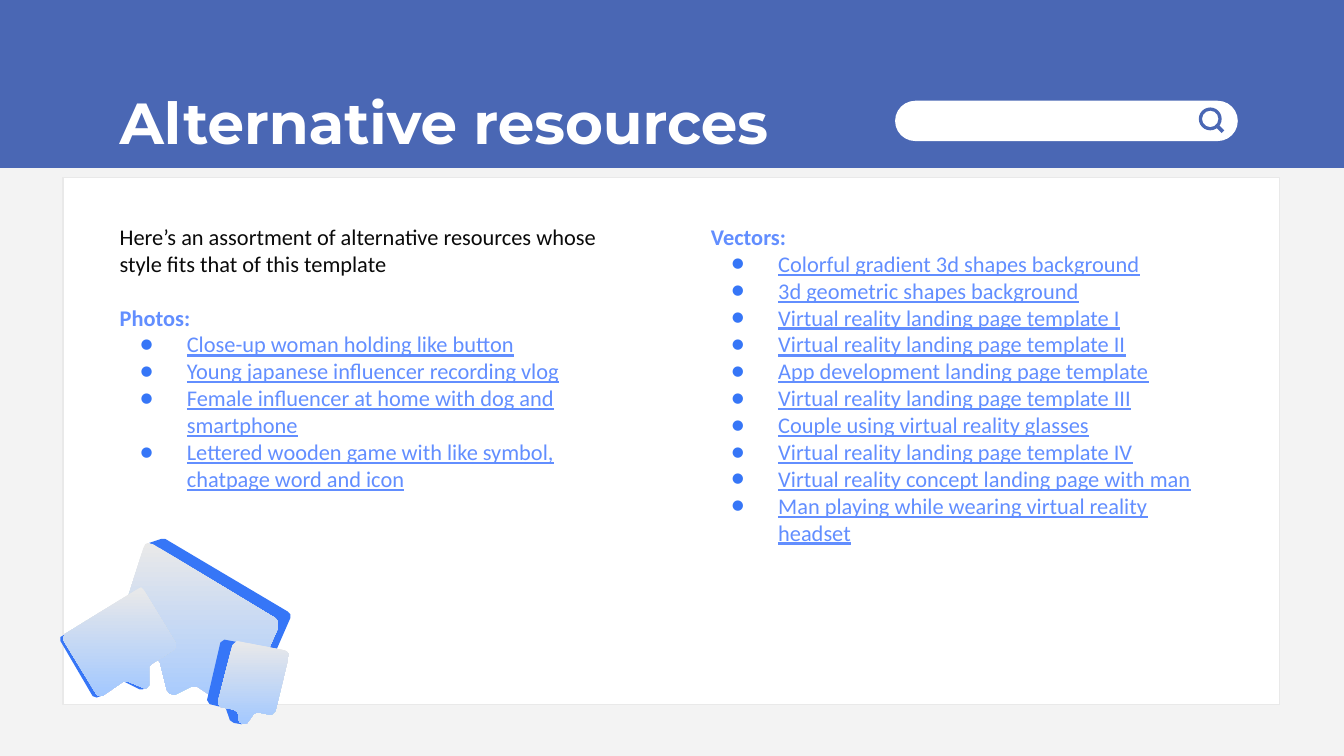
from lxml import etree
from pptx import Presentation
from pptx.dml.color import RGBColor as RGB
from pptx.enum.shapes import MSO_CONNECTOR as CXN, MSO_SHAPE as SHAPE
from pptx.enum.text import MSO_ANCHOR as ANCHOR, MSO_AUTO_SIZE as FIT, PP_ALIGN as ALIGN
from pptx.oxml.ns import qn
from pptx.util import Inches, Pt

C = {k: RGB.from_string(v) for k, v in {
    "page": "F3F3F3", "header": "4A67B4", "white": "FFFFFF", "edge": "E9E9E9",
    "ink": "0A0A0A", "link": "628EFF", "accent": "3676F7", "sky": "A3C8FF"}.items()}

prs = Presentation()
prs.slide_width, prs.slide_height = Inches(10), Inches(5.625)
U = prs.slide_width / 100  # square grid, 100 columns across the slide
s = prs.slides.add_slide(prs.slide_layouts[3])
s.background.fill.solid()
s.background.fill.fore_color.rgb = C["page"]


def grid(*cells):
    return [round(c * U) for c in cells]


def paint(sp, color, line=None):
    sp.shadow.inherit = False
    sp.fill.solid()
    sp.fill.fore_color.rgb = C[color]
    if line:
        sp.line.color.rgb, sp.line.width = C[line], Pt(0.75)
    else:
        sp.line.fill.background()


# Header, content panel, search bar and lens
for kind, box, adj, color, line in [
        (SHAPE.RECTANGLE, (-0.3, -0.4, 100.8, 12.9), None, "header", None),
        (SHAPE.RECTANGLE, (4.7, 13.2, 90.5, 39.2), None, "white", "edge"),
        (SHAPE.ROUNDED_RECTANGLE, (66.6, 7.5, 25.5, 3), 0.5, "white", None),
        (SHAPE.DONUT, (89.2, 8, 1.7, 1.7), 0.14, "header", None)]:
    sp = s.shapes.add_shape(kind, *grid(*box))
    paint(sp, color, line)
    if adj:
        sp.adjustments[0] = adj

# Lens handle
handle = s.shapes.add_connector(CXN.STRAIGHT, *grid(90.6, 9.4, 91, 9.8))
handle.line.color.rgb, handle.line.width = C["header"], Pt(2)
etree.SubElement(handle._element.spPr, qn("a:effectLst"))

# Title and the two lists
title, left, right = s.placeholders
LISTS = [
    (left, ["Here’s an assortment of alternative resources whose style fits that of this template",
            "Photos:",
            "Close-up woman holding like button",
            "Young japanese influencer recording vlog",
            "Female influencer at home with dog and smartphone",
            "Lettered wooden game with like symbol, chatpage word and icon"]),
    (right, ["Vectors:",
             "Colorful gradient 3d shapes background",
             "3d geometric shapes background",
             "Virtual reality landing page template I",
             "Virtual reality landing page template II",
             "App development landing page template",
             "Virtual reality landing page template III",
             "Couple using virtual reality glasses",
             "Virtual reality landing page template IV",
             "Virtual reality concept landing page with man",
             "Man playing while wearing virtual reality headset"])]

for sp, box, anchor in [(title, (7.9, 5.9, 56.9, 6.2), ANCHOR.MIDDLE),
                        (left, (7.9, 15.6, 40.2, 33.6), ANCHOR.TOP),
                        (right, (51.9, 15.6, 40.2, 33.6), ANCHOR.TOP)]:
    sp.left, sp.top, sp.width, sp.height = grid(*box)
    frame = {"word_wrap": True, "auto_size": FIT.NONE, "vertical_anchor": anchor}
    frame.update({f"margin_{side}": round(U) for side in ("left", "top", "right", "bottom")})
    for name, value in frame.items():
        setattr(sp.text_frame, name, value)
    s.shapes._spTree.append(sp._element)  # text above the panels

p = title.text_frame.paragraphs[0]
p.alignment = ALIGN.LEFT
r = p.add_run()
r.text = "Alternative resources"
for name, value in {"name": "Montserrat", "size": Pt(31), "bold": True}.items():
    setattr(r.font, name, value)
r.font.color.rgb = C["white"]

for sp, lines in LISTS:
    tf = sp.text_frame
    heading = next(i for i, text in enumerate(lines) if text.endswith(":"))
    for i, text in enumerate(lines):
        p = tf.paragraphs[0] if i == 0 else tf.add_paragraph()
        item = i > heading
        pPr = p._p.get_or_add_pPr()
        pPr.set("marL", str(Inches(0.5) if item else 0))
        pPr.set("indent", str(Inches(-0.35) if item else 0))
        if item:
            clr = etree.SubElement(pPr, qn("a:buClr"))
            etree.SubElement(clr, qn("a:srgbClr"), val=str(C["accent"]))
            etree.SubElement(pPr, qn("a:buFont"), typeface="Calibri")
            etree.SubElement(pPr, qn("a:buChar"), char="●")
        else:
            etree.SubElement(pPr, qn("a:buNone"))
        p.line_spacing = 1.0
        p.space_before = Pt(14.4 if i == heading and i else 0)
        p.alignment = ALIGN.LEFT
        r = p.add_run()
        r.text = text
        for name, value in {"name": "Calibri", "size": Pt(12), "bold": i == heading,
                            "underline": item}.items():
            setattr(r.font, name, value)
        r.font.color.rgb = C["ink" if i < heading else "link"]

# Speech bubbles: a solid back and a shaded face each, in tenths of a column
BUBBLES = [
    ("solid", [(120, 401), (111, 404), (204, 463), (176, 530), (185, 527), (188, 524),
               (216, 460), (216, 457), (214, 455), (123, 401)]),
    ("shaded", [(110, 404), (108, 405), (107, 407), (88, 467), (88, 470), (90, 473),
                (117, 490), (119, 493), (124, 513), (126, 516), (130, 517), (142, 511),
                (147, 511), (174, 529), (178, 529), (181, 526), (207, 467), (207, 463),
                (205, 460), (114, 405)]),
    ("solid", [(167, 476), (164, 478), (154, 521), (156, 524), (168, 527), (171, 536),
               (174, 538), (180, 539), (182, 533), (183, 479)]),
    ("shaded", [(176, 477), (173, 480), (162, 523), (164, 526), (174, 528), (177, 530),
                (178, 537), (181, 539), (184, 538), (189, 531), (192, 530), (202, 532),
                (205, 529), (215, 488), (215, 486), (212, 484), (177, 477)]),
    ("solid", [(52, 470), (45, 474), (45, 477), (69, 518), (72, 519), (75, 518),
               (92, 507), (104, 513), (106, 513), (109, 512)]),
    ("shaded", [(105, 437), (103, 438), (48, 472), (47, 476), (72, 517), (74, 518),
                (76, 518), (92, 507), (95, 507), (107, 512), (109, 512), (111, 510),
                (111, 496), (113, 494), (130, 483), (131, 479), (107, 439)])]
for style, points in BUBBLES:
    outline = s.shapes.build_freeform(*points[0], scale=U / 10)
    outline.add_line_segments(points[1:], close=True)
    sp = outline.convert_to_shape()
    paint(sp, "accent")
    if style == "shaded":
        sp.fill.gradient()
        sp.fill.gradient_angle = 270
        for stop, color, position in zip(sp.fill.gradient_stops, ("edge", "sky"), (0, 1)):
            stop.color.rgb, stop.position = C[color], position

prs.save("out.pptx")
